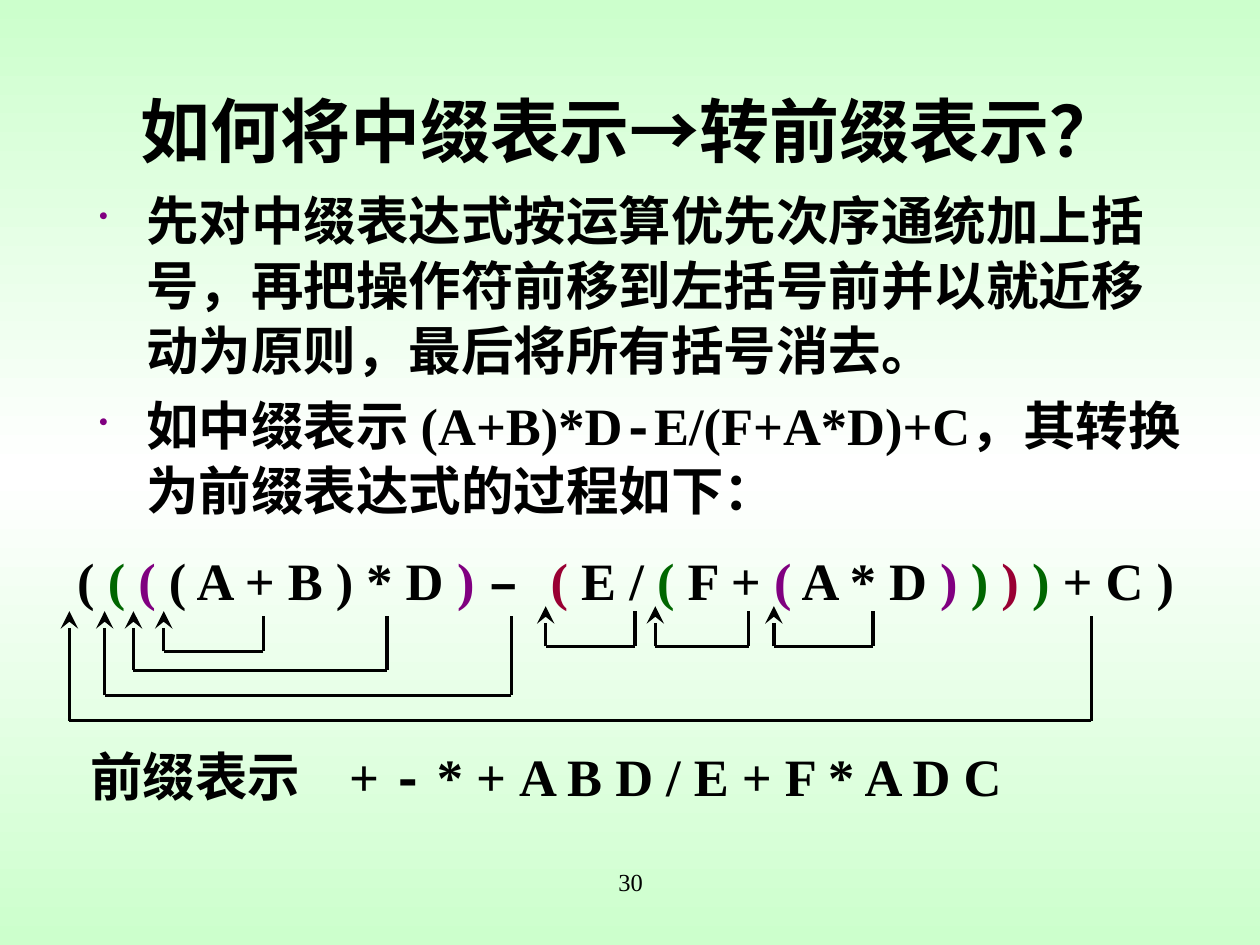
from copy import deepcopy

from lxml.etree import SubElement
from pptx import Presentation
from pptx.dml.color import RGBColor as RGB
from pptx.enum.shapes import MSO_CONNECTOR as LINE
from pptx.enum.text import MSO_ANCHOR as ANCHOR, PP_ALIGN as ALIGN
from pptx.oxml.ns import qn
from pptx.util import Cm, Pt

THEME = {
    "black": "000000", "green": "006600", "purple": "800080", "red": "990033",
    "background": ((0, "CCFFCC"), (0.5, "FFFFFF"), (1, "CCFFCC")),
    "serif": "Times New Roman", "mono": "Courier New", "cjk": "Noto Sans CJK SC",
    "title": 40, "body": 30, "number": 14,
    "upright": 2, "base": 1.75,
}

TITLE = [[("如何将中缀表示",), ("→", "black", "mono"), ("转前缀表示？",)]]
BODY = [
    [("先对中缀表达式按运算优先次序通统加上括号，再把操作符前移到左括号前并以就近移动为原则，最后将所有括号消去。",)],
    [("如中缀表示 ", "black", "cjk"), ("(A+B)*D",), ("-", "black", "mono"),
     ("E/(F+A*D)+C",), ("，其转换为前缀表达式的过程如下：", "black", "cjk")],
]
INFIX = [[
    ("( ",), ("( ", "green"), ("(", "purple"), (" ( A + B ) * D ",), (") ", "purple"),
    ("– ", "black", "mono"), ("(", "red"), (" E / ",), ("(", "green"), (" F + ",),
    ("(", "purple"), (" A * D ",), (") ", "purple"), (") ", "green"), (") ", "red"),
    (")", "green"), (" + C )",),
]]
PREFIX = [[("前缀表示\t+ ",), ("-", "black", "mono"), (" * + A B D / E + F * A D C",)]]
NUMBER = [[("30",)]]

LEFT_TIP, RIGHT_TIP, STEM_DROP = 12.32, 12.22, 0.1
MOVES = [
    (3.3, 5.31, 13.13, LEFT_TIP),
    (2.69, 7.8, 13.51, LEFT_TIP),
    (2.11, 10.31, 14.02, LEFT_TIP),
    (1.4, 22, 14.53, LEFT_TIP),
    (11, 12.8, 13.03, RIGHT_TIP),
    (13.21, 15.09, 13.03, RIGHT_TIP),
    (15.6, 17.6, 13.03, RIGHT_TIP),
]


def add_bullet(p):
    pPr = p._p.get_or_add_pPr()
    pPr.set("marL", str(Cm(0.95)))
    pPr.set("indent", str(-Cm(0.95)))
    SubElement(SubElement(pPr, qn("a:buClr")), qn("a:srgbClr"), val=THEME["purple"])
    SubElement(pPr, qn("a:buSzPct"), val="50000")
    SubElement(pPr, qn("a:buChar"), char="•")


def add_tab(p, pos):
    tabs = SubElement(p._p.get_or_add_pPr(), qn("a:tabLst"))
    SubElement(tabs, qn("a:tab"), pos=str(Cm(pos)), algn="l")


def add_run(p, text, color="black", font="serif", size=30, bold=True):
    r = p.add_run()
    r.text = text
    r.font.name = THEME[font]
    r.font.size = Pt(size)
    r.font.bold = bold
    r.font.color.rgb = RGB.from_string(THEME[color])
    SubElement(r._r.get_or_add_rPr(), qn("a:ea"), typeface=THEME["cjk"])


def add_text(s, paragraphs, box, size="body", bold=True, align=ALIGN.CENTER,
             anchor=ANCHOR.TOP, wrap=True, spacing=1.0, bullet=False, tab=None):
    tf = s.shapes.add_textbox(*map(Cm, box)).text_frame
    tf.word_wrap = wrap
    tf.vertical_anchor = anchor
    for i, runs in enumerate(paragraphs):
        p = tf.add_paragraph() if i else tf.paragraphs[0]
        p.alignment = align
        p.line_spacing = spacing
        if i:
            p.space_before = Pt(THEME[size] * 0.2)
        if bullet:
            add_bullet(p)
        if tab:
            add_tab(p, tab)
        for run in runs:
            add_run(p, *run, size=THEME[size], bold=bold)


def add_line(s, start, end, width, arrow=False):
    c = s.shapes.add_connector(LINE.STRAIGHT, *map(Cm, start + end))
    c.line.width = Pt(THEME[width])
    c.line.color.rgb = RGB.from_string(THEME["black"])
    if arrow:
        SubElement(c.line._get_or_add_ln(), qn("a:tailEnd"), type="stealth", w="lg", len="lg")
    SubElement(c._element.spPr, qn("a:effectLst"))


def add_move(s, left, right, bottom, tip):
    add_line(s, (left, bottom), (left, tip), "upright", arrow=True)
    add_line(s, (right, bottom), (left, bottom), "base")
    add_line(s, (right, bottom), (right, tip + STEM_DROP), "upright")


def paint_background(s):
    fill = s.background.fill
    fill.gradient()
    fill.gradient_angle = 270
    stops = s.element.find(".//" + qn("a:gsLst"))
    stops.append(deepcopy(stops[0]))
    for stop, (position, color) in zip(fill.gradient_stops, THEME["background"]):
        stop.position = position
        stop.color.rgb = RGB.from_string(color)


def main():
    """Build the slide on turning infix notation into prefix notation."""
    prs = Presentation()
    prs.slide_width, prs.slide_height = Cm(25.4), Cm(19.05)
    s = prs.slides.add_slide(prs.slide_layouts[6])
    paint_background(s)
    add_text(s, NUMBER, (8.69, 17.35, 8.05, 1.27), size="number", bold=False)
    add_text(s, TITLE, (1.27, 1.27, 22.86, 2.67), size="title", anchor=ANCHOR.MIDDLE)
    add_text(s, BODY, (1.75, 3.63, 22.35, 7.21), align=ALIGN.LEFT, spacing=1.03, bullet=True)
    add_text(s, INFIX, (1.16, 10.92, 22.91, 1.52), wrap=False)
    for move in MOVES:
        add_move(s, *move)
    add_text(s, PREFIX, (1.57, 14.88, 21, 1.52), align=ALIGN.LEFT, tab=5.22)
    prs.save("out.pptx")


if __name__ == "__main__":
    main()
